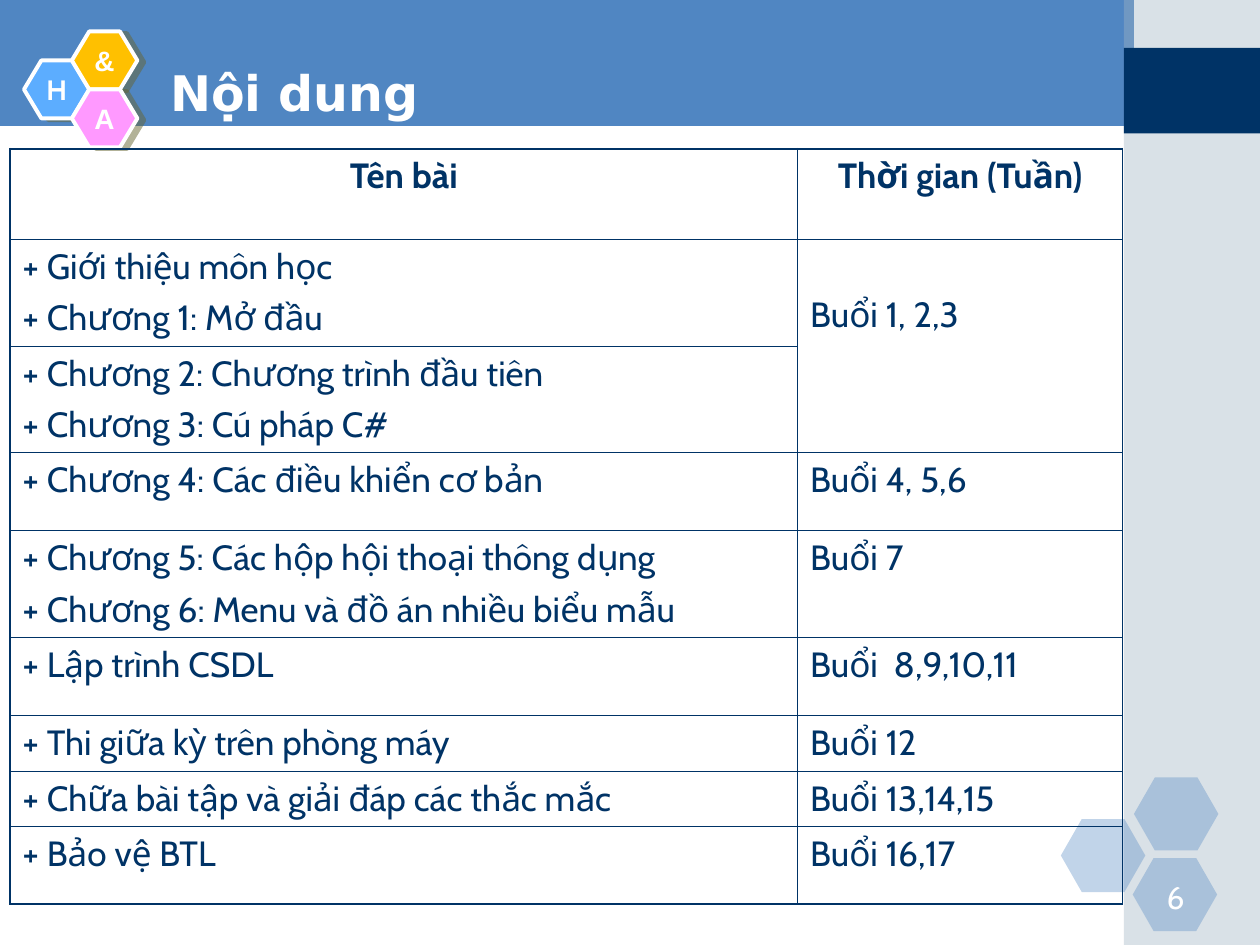
from pptx import Presentation
from pptx.dml.color import RGBColor
from pptx.enum.shapes import MSO_SHAPE as SHAPE
from pptx.enum.text import MSO_ANCHOR as ANCHOR, PP_ALIGN as ALIGN
from pptx.oxml import parse_xml
from pptx.oxml.ns import nsdecls, qn
from pptx.util import Inches, Pt
from lxml.etree import SubElement

COLORS = {
    "blue": "5086C2",
    "navy": "003366",
    "gray": "A0B5C4",
    "sky": "5CADFF",
    "gold": "FFC000",
    "pink": "FF99FF",
    "white": "FFFFFF",
    "shadow": "666633",
}
THIN, THICK = 0.45, 1.08
COLUMNS = [6.25, 2.58]
ROWS = [
    (0.72, ["Tên bài"], "Thời gian (Tuần)"),
    (0.84, ["+ Giới thiệu môn học", "+ Chương 1: Mở đầu"], "Buổi 1, 2,3"),
    (0.84, ["+ Chương 2: Chương trình đầu tiên", "+ Chương 3: Cú pháp C#"], None),
    (0.62, ["+ Chương 4: Các điều khiển cơ bản"], "Buổi 4, 5,6"),
    (0.84, ["+ Chương 5: Các hộp hội thoại thông dụng",
            "+ Chương 6: Menu và đồ án nhiều biểu mẫu"], "Buổi 7"),
    (0.62, ["+ Lập trình CSDL"], "Buổi  8,9,10,11"),
    (0.43, ["+ Thi giữa kỳ trên phòng máy"], "Buổi 12"),
    (0.43, ["+ Chữa bài tập và giải đáp các thắc mắc"], "Buổi 13,14,15"),
    (0.62, ["+ Bảo vệ BTL"], "Buổi 16,17"),
]


def rgb(name):
    return RGBColor.from_string(COLORS[name])


def style_text(p, size, font, color, bold=False, align=ALIGN.LEFT):
    p.alignment = align
    p.font.size = Pt(size)
    p.font.name = font
    p.font.bold = bold
    p.font.color.rgb = rgb(color)


def paint(sp, color, alpha=None):
    sp.shadow.inherit = False
    sp.line.fill.background()
    sp.fill.solid()
    sp.fill.fore_color.rgb = rgb(color)
    if alpha:
        clr = sp.fill._xPr.find(qn("a:solidFill"))[0]
        SubElement(clr, qn("a:alpha"), val=str(alpha * 1000))


def add_block(s, kind, x, y, w, h, color, alpha=None):
    sp = s.shapes.add_shape(kind, Inches(x), Inches(y), Inches(w), Inches(h))
    paint(sp, color, alpha)
    return sp


def add_title_band(s):
    builder = s.shapes.build_freeform(-0.01, 0.38, scale=Inches(1))
    builder.add_line_segments([(8.95, 0.38), (8.95, 1.06), (-0.01, 1.07)])
    paint(builder.convert_to_shape(), "blue")


def add_badge(s, x, y, letter, font, color):
    sp = add_block(s, SHAPE.HEXAGON, x, y, 0.52, 0.46, color)
    sp.adjustments[0] = 0.3
    sp.line.color.rgb = rgb("white")
    sp.line.width = Pt(2.25)
    effects = sp.element.spPr.find(qn("a:effectLst"))
    effects.append(parse_xml(
        f'<a:outerShdw {nsdecls("a")} dist="{Pt(4.1)}" dir="{14 * 60000}" algn="ctr" '
        f'rotWithShape="0"><a:srgbClr val="{COLORS["shadow"]}">'
        '<a:alpha val="50000"/></a:srgbClr></a:outerShdw>'))
    tf = sp.text_frame
    tf.word_wrap = False
    tf.vertical_anchor = ANCHOR.MIDDLE
    p = tf.paragraphs[0]
    p.text = letter
    style_text(p, 16, font, "white", True, ALIGN.CENTER)


def add_page_number(s, number):
    sp = s.shapes.add_textbox(Inches(9.08), Inches(6.92), Inches(0.5), Inches(0.42))
    sp.text_frame.word_wrap = True
    p = sp.text_frame.paragraphs[0]
    p.text = number
    style_text(p, 18, "Cabin", "white", align=ALIGN.CENTER)


def set_title(s, text):
    sp = s.shapes.title
    sp.element.getparent().append(sp.element)
    sp.left, sp.top = Inches(1.25), Inches(0.42)
    sp.width, sp.height = Inches(7.33), Inches(0.62)
    tf = sp.text_frame
    tf.vertical_anchor = ANCHOR.MIDDLE
    p = tf.paragraphs[0]
    p.text = text
    style_text(p, 28, "DejaVu Sans", "white", True)


def set_borders(cell, widths):
    tcPr = cell._tc.get_or_add_tcPr()
    for side, width in zip("LRTB", widths):
        tcPr.append(parse_xml(
            f'<a:ln{side} {nsdecls("a")} w="{Pt(width)}"><a:solidFill>'
            f'<a:srgbClr val="{COLORS["navy"]}"/></a:solidFill></a:ln{side}>'))
    cell.fill.background()


def fill_cell(cell, lines, header):
    tf = cell.text_frame
    tf.text = "\n".join(lines)
    for p in tf.paragraphs:
        p.space_before = Pt(5)
        style_text(p, 20, "Cabin", "navy", header, ALIGN.CENTER if header else ALIGN.LEFT)


def add_schedule(s):
    frame = s.shapes.add_table(len(ROWS), len(COLUMNS), Inches(0.08), Inches(1.18),
                               Inches(sum(COLUMNS)), Inches(sum(row[0] for row in ROWS)))
    table = frame.table
    table.first_row = table.horz_banding = False
    for column, width in zip(table.columns, COLUMNS):
        column.width = Inches(width)
    last = len(ROWS) - 1
    for i, (height, topics, weeks) in enumerate(ROWS):
        table.rows[i].height = Inches(height)
        top = THICK if i == 0 else THIN
        bottom = THICK if i == last else THIN
        set_borders(table.cell(i, 0), (THICK, THIN, top, bottom))
        set_borders(table.cell(i, 1), (THIN, THICK, top, bottom))
        fill_cell(table.cell(i, 0), topics, i == 0)
        if weeks:
            fill_cell(table.cell(i, 1), [weeks], i == 0)
    table.cell(1, 1).merge(table.cell(2, 1))
    table.cell(1, 1).margin_top = Inches(0.43)


def main():
    prs = Presentation()
    prs.slide_width, prs.slide_height = Inches(10), Inches(7.5)
    s = prs.slides.add_slide(prs.slide_layouts[5])
    add_title_band(s)
    add_block(s, SHAPE.RECTANGLE, 8.92, 0, 1.08, 7.5, "gray", 40)
    add_block(s, SHAPE.RECTANGLE, 8.92, 0.38, 1.08, 0.68, "navy")
    for x, y in [(8.42, 6.5), (9, 6.17), (8.99, 6.81)]:
        sp = add_block(s, SHAPE.HEXAGON, x, y, 0.67, 0.58, "blue", 35)
        sp.adjustments[0] = 0.286
    add_badge(s, 0.19, 0.48, "H", "Cabin", "sky")
    add_badge(s, 0.57, 0.25, "&", "Arial", "gold")
    add_badge(s, 0.57, 0.71, "A", "Arial", "pink")
    add_page_number(s, "6")
    set_title(s, "Nội dung")
    add_schedule(s)
    prs.save("out.pptx")


if __name__ == "__main__":
    main()
